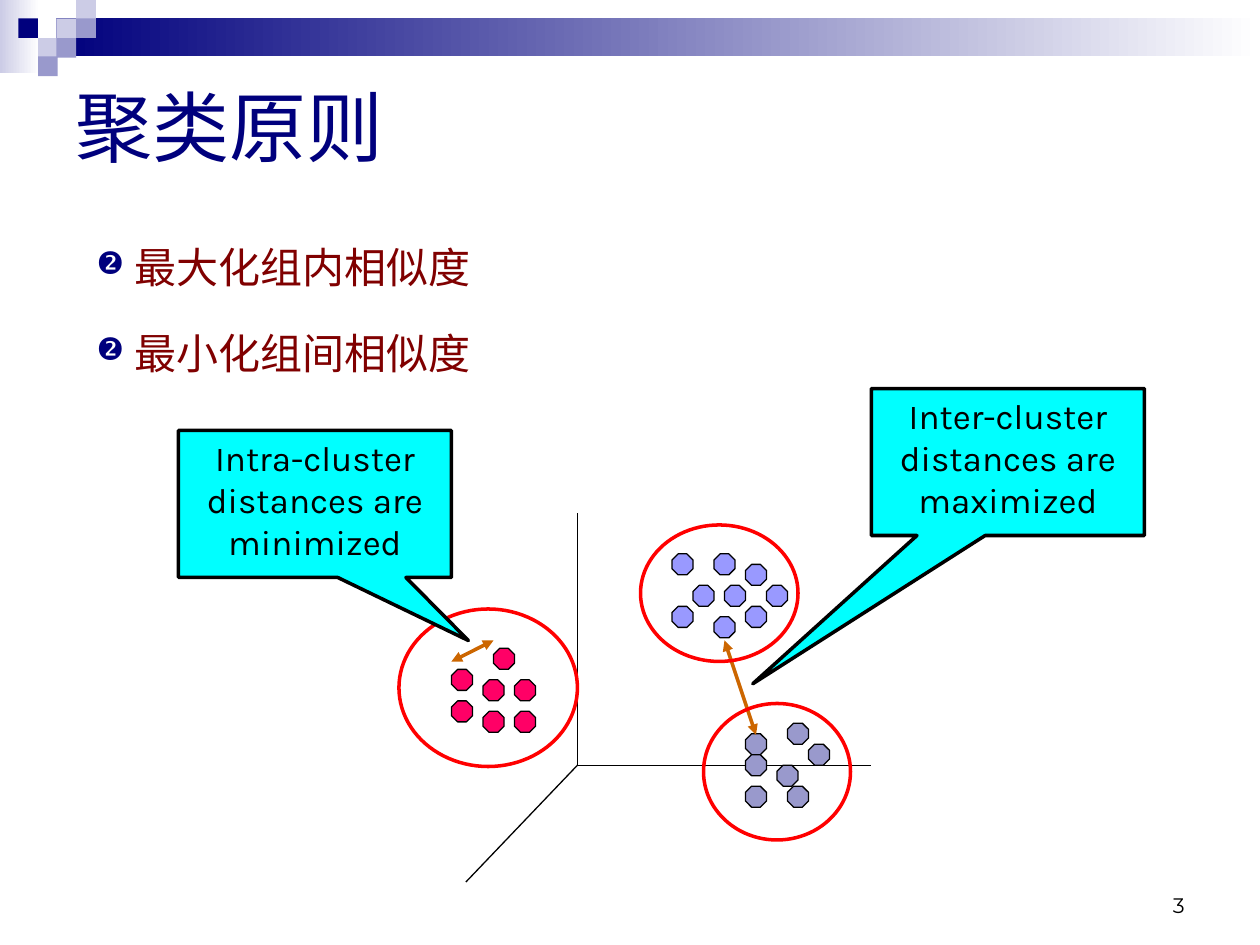
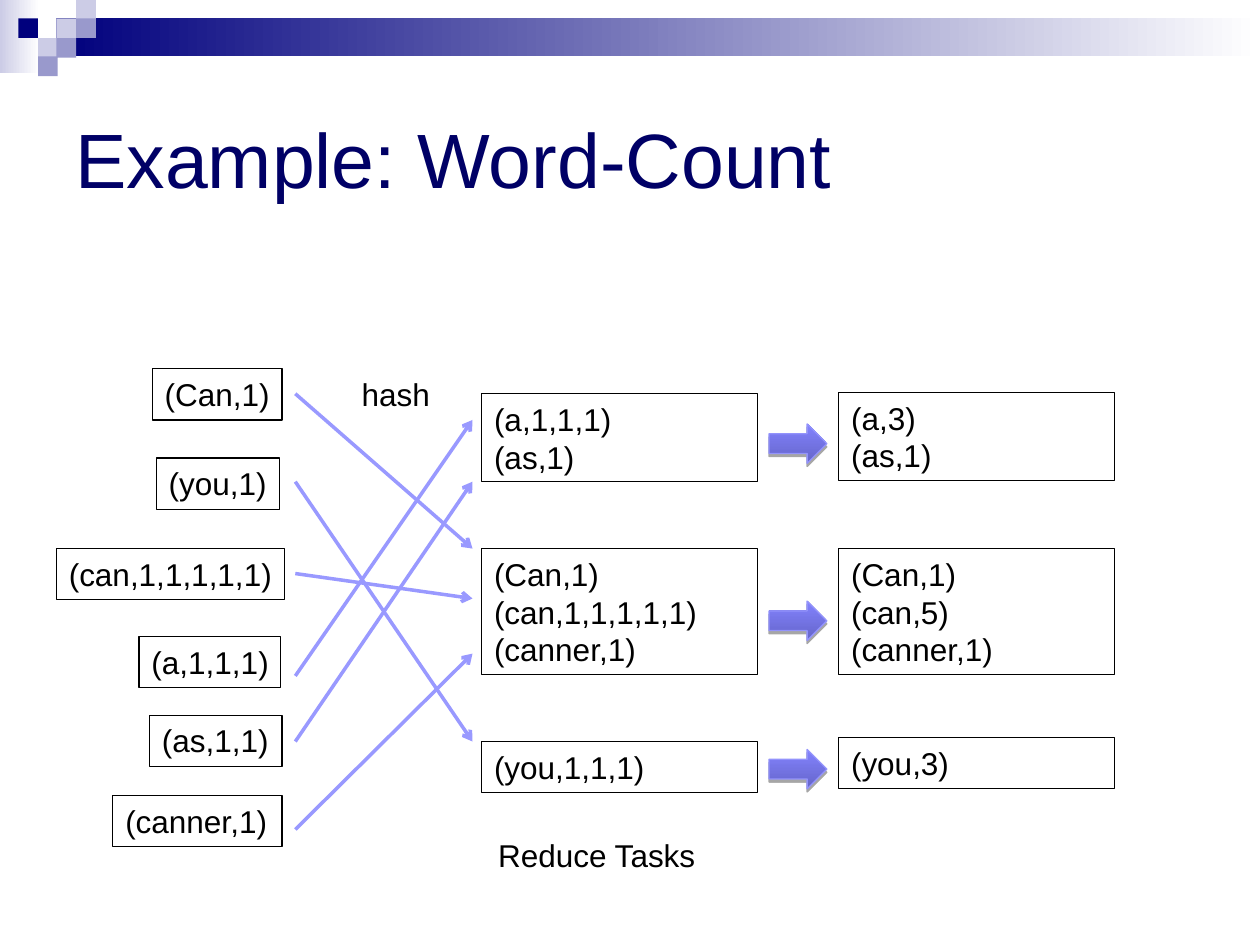
"""Builds two slides: clustering principles and a word-count data flow."""
from dataclasses import dataclass

from lxml import etree
from pptx import Presentation
from pptx import util as u
from pptx.dml.color import RGBColor
from pptx.enum import shapes, text
from pptx.oxml.ns import qn

PX = 9525
NAVY, BLACK = "00007D", "000000"
PALE, LILAC, PERIWINKLE = "CCCCE6", "9999CC", "9999FF"
RED, ORANGE, CYAN, MAROON = "FF0000", "CC6600", "00FFFF", "800000"
SHAPE = shapes.MSO_SHAPE
ALIGN, ANCHOR = text.PP_ALIGN, text.MSO_ANCHOR
GRID, DOT = 8, 16


@dataclass(frozen=True)
class Box:
    x: int
    y: int
    w: int
    h: int


@dataclass(frozen=True)
class Line:
    start: tuple[int, int]
    end: tuple[int, int]


@dataclass(frozen=True)
class Cluster:
    color: str
    ring: Box
    origin: tuple[int, int]
    cells: list[tuple[int, int]]


@dataclass(frozen=True)
class Callout:
    box: Box
    words: str
    tip: tuple[float, float]
    arrow: Line


@dataclass(frozen=True)
class Pair:
    words: str
    box: Box
    arrow: Line


@dataclass(frozen=True)
class Reducer:
    grouped: str
    reduced: str
    grouped_y: int
    reduced_y: int
    height: int
    arrow_y: int


SQUARES = [(43, 14, PALE), (58, 0, PALE), (58, 14, LILAC), (29, 29, PALE),
           (14, 14, NAVY), (43, 29, LILAC), (29, 43, LILAC)]

CLUSTERS = [
    Cluster(PERIWINKLE, Box(488, 400, 120, 104), (512, 422),
            [(2, 3), (5, 3), (4, 0), (4, 6), (9, 3), (7, 1), (0, 0), (7, 5), (0, 5)]),
    Cluster("FF0066", Box(304, 464, 136, 120), (344, 494),
            [(0, 2), (3, 3), (3, 6), (6, 3), (4, 0), (6, 6), (0, 5)]),
    Cluster(LILAC, Box(536, 536, 112, 104), (568, 551),
            [(0, 1), (6, 2), (3, 4), (0, 6), (4, 6), (0, 3), (4, 0)]),
]
AXES = [Line((440, 391), (440, 583)), Line((440, 583), (664, 583)),
        Line((440, 583), (355, 672))]
INTER = Callout(Box(664, 296, 208, 112), "Inter-cluster distances are maximized",
                (-0.935, 1.509), Line((576, 560), (552, 488)))
INTRA = Callout(Box(136, 328, 208, 112), "Intra-cluster distances are minimized",
                (0.562, 0.929), Line((344, 504), (376, 488)))

PAIRS = [
    Pair("(Can,1)", Box(116, 281, 99, 39), Line((225, 300), (360, 418))),
    Pair("(you,1)", Box(119, 349, 94, 39), Line((225, 367), (360, 565))),
    Pair("(can,1,1,1,1,1)", Box(43, 418, 174, 39), Line((225, 437), (360, 456))),
    Pair("(a,1,1,1)", Box(106, 485, 108, 39), Line((225, 515), (360, 320))),
    Pair("(as,1,1)", Box(114, 545, 101, 39), Line((225, 565), (360, 367))),
    Pair("(canner,1)", Box(86, 606, 129, 39), Line((225, 632), (360, 498))),
]
REDUCERS = [
    Reducer("(a,1,1,1)\n(as,1)", "(a,3)\n(as,1)", 300, 299, 67, 323),
    Reducer("(Can,1)\n(can,1,1,1,1,1)\n(canner,1)", "(Can,1)\n(can,5)\n(canner,1)",
            418, 418, 96, 458),
    Reducer("(you,1,1,1)", "(you,3)", 565, 562, 39, 571),
]


def px(n: int) -> int:
    """Turn pixels into EMU."""
    return u.Emu(n * PX)


def rgb(color: str) -> RGBColor:
    """Turn a hex string into a colour."""
    return RGBColor.from_string(color)


def add_shape(s, kind, box: Box, fill: str | None = None,
              line: str | None = None, weight: float = 0.75):
    """Draw a preset shape without shadow."""
    sp = s.shapes.add_shape(kind, px(box.x), px(box.y), px(box.w), px(box.h))
    sp.shadow.inherit = False
    if fill:
        sp.fill.solid()
        sp.fill.fore_color.rgb = rgb(fill)
    else:
        sp.fill.background()
    if line:
        sp.line.color.rgb = rgb(line)
        sp.line.width = u.Pt(weight)
    else:
        sp.line.fill.background()
    return sp


def set_gradient(sp, first: str, last: str, angle: int = 0) -> None:
    """Fill a shape with a two-stop linear gradient."""
    sp.fill.gradient()
    sp.fill.gradient_angle = angle
    for stop, color, position in zip(sp.fill.gradient_stops, (first, last), (0, 1)):
        stop.color.rgb = rgb(color)
        stop.position = position


def add_line(s, line: Line, color: str = BLACK, weight: float = 0.75,
             head: str = "", tail: str = "") -> None:
    """Draw a straight connector with optional arrowheads."""
    c = s.shapes.add_connector(shapes.MSO_CONNECTOR.STRAIGHT,
                               *map(px, line.start + line.end))
    c.line.color.rgb = rgb(color)
    c.line.width = u.Pt(weight)
    ln = c.line._get_or_add_ln()
    for tag, kind in (("a:headEnd", head), ("a:tailEnd", tail)):
        if kind:
            etree.SubElement(ln, qn(tag), type=kind)
    etree.SubElement(c._element.spPr, qn("a:effectLst"))


def write(sp, words: str, size: int, color: str = BLACK, font: str = "Arial",
          align=ALIGN.LEFT, anchor=ANCHOR.TOP, wrap: bool = True) -> None:
    """Put text into a shape and format its paragraphs."""
    tf = sp.text_frame
    tf.text = words
    tf.word_wrap = wrap
    tf.vertical_anchor = anchor
    for p in tf.paragraphs:
        p.alignment = align
        for r in p.runs:
            r.font.size = u.Pt(size)
            r.font.name = font
            r.font.color.rgb = rgb(color)


def add_text(s, box: Box, words: str, size: int, **style):
    """Add a text box."""
    sp = s.shapes.add_textbox(px(box.x), px(box.y), px(box.w), px(box.h))
    write(sp, words, size, **style)
    return sp


def add_slide(prs, title: str, top: int, color: str):
    """Add a blank slide with the shared band, squares and title."""
    s = prs.slides.add_slide(prs.slide_layouts[6])
    for box, first in ((Box(0, 0, 30, 56), PALE), (Box(43, 14, 917, 29), NAVY)):
        set_gradient(add_shape(s, SHAPE.RECTANGLE, box), first, "FFFFFF")
    for x, y, fill in SQUARES:
        add_shape(s, SHAPE.RECTANGLE, Box(x, y, 15, 15), fill)
    add_text(s, Box(48, top, 864, 144), title, 44, color=color, anchor=ANCHOR.MIDDLE)
    return s


def add_bullets(s, box: Box, words: str) -> None:
    """Add the numbered-glyph bullet list."""
    sp = add_text(s, box, words, 24, color=MAROON)
    for i, p in enumerate(sp.text_frame.paragraphs):
        pr = p._p.get_or_add_pPr()
        pr.set("marL", str(px(29)))
        pr.set("indent", str(-px(29)))
        etree.SubElement(etree.SubElement(pr, qn("a:buClr")), qn("a:srgbClr"), val=NAVY)
        etree.SubElement(pr, qn("a:buSzPct"), val="75000")
        etree.SubElement(pr, qn("a:buChar"), char="➋")
        p.line_spacing = 1.5
        if i:
            p.space_before = u.Pt(6)


def add_callout(s, callout: Callout) -> None:
    """Draw a distance arrow and the callout that explains it."""
    add_line(s, callout.arrow, ORANGE, 2, "triangle", "triangle")
    sp = add_shape(s, SHAPE.RECTANGULAR_CALLOUT, callout.box, CYAN, BLACK, 2)
    for i, value in enumerate(callout.tip):
        sp.adjustments[i] = value
    write(sp, callout.words, 20, font="Karla", align=ALIGN.CENTER)


def add_block_arrow(s, y: int) -> None:
    """Draw a shaded block arrow with a short drop shadow."""
    sp = add_shape(s, SHAPE.RIGHT_ARROW, Box(586, y, 44, 30), line="9393FC")
    set_gradient(sp, "6565C9", "8383FF", 90)
    effects = sp._element.spPr.find(qn("a:effectLst"))
    shadow = etree.SubElement(effects, qn("a:outerShdw"), blurRad="0",
                              dist=str(u.Pt(1.8)), dir="5400000", rotWithShape="0")
    tint = etree.SubElement(shadow, qn("a:srgbClr"), val=BLACK)
    etree.SubElement(tint, qn("a:alpha"), val="35000")


def add_pair_box(s, box: Box, words: str, wrap: bool = True) -> None:
    """Draw an outlined box of key-value pairs."""
    write(add_shape(s, SHAPE.RECTANGLE, box, line=BLACK), words, 18, wrap=wrap)


def build_principles(prs) -> None:
    """Build the clustering principles slide."""
    s = add_slide(prs, "聚类原则", 24, NAVY)
    add_text(s, Box(688, 656, 224, 48), "3", 12, font="Montserrat",
             align=ALIGN.RIGHT, anchor=ANCHOR.BOTTOM)
    add_bullets(s, Box(64, 160, 856, 160), "最大化组内相似度\n最小化组间相似度")
    for axis in AXES:
        add_line(s, axis)
    for cluster in CLUSTERS:
        x, y = cluster.origin
        for col, row in cluster.cells:
            add_shape(s, SHAPE.OCTAGON, Box(x + col * GRID, y + row * GRID, DOT, DOT),
                      cluster.color, BLACK)
    add_callout(s, INTER)
    for cluster in CLUSTERS:
        add_shape(s, SHAPE.OVAL, cluster.ring, line=RED, weight=2)
    add_callout(s, INTRA)


def build_word_count(prs) -> None:
    """Build the word-count slide."""
    s = add_slide(prs, "Example: Word-Count", 48, "000066")
    for pair in PAIRS:
        add_pair_box(s, pair.box, pair.words, wrap=False)
        add_line(s, pair.arrow, PERIWINKLE, 2, tail="arrow")
    for reducer in REDUCERS:
        add_pair_box(s, Box(367, reducer.grouped_y, 210, reducer.height), reducer.grouped)
        add_pair_box(s, Box(639, reducer.reduced_y, 210, reducer.height), reducer.reduced)
        add_block_arrow(s, reducer.arrow_y)
    add_text(s, Box(370, 632, 173, 39), "Reduce Tasks", 18, wrap=False)
    add_text(s, Box(266, 281, 71, 39), "hash", 18, wrap=False)


def main() -> None:
    """Build and save the presentation."""
    prs = Presentation()
    prs.slide_width, prs.slide_height = px(960), px(720)
    build_principles(prs)
    build_word_count(prs)
    prs.save("out.pptx")


if __name__ == "__main__":
    main()
